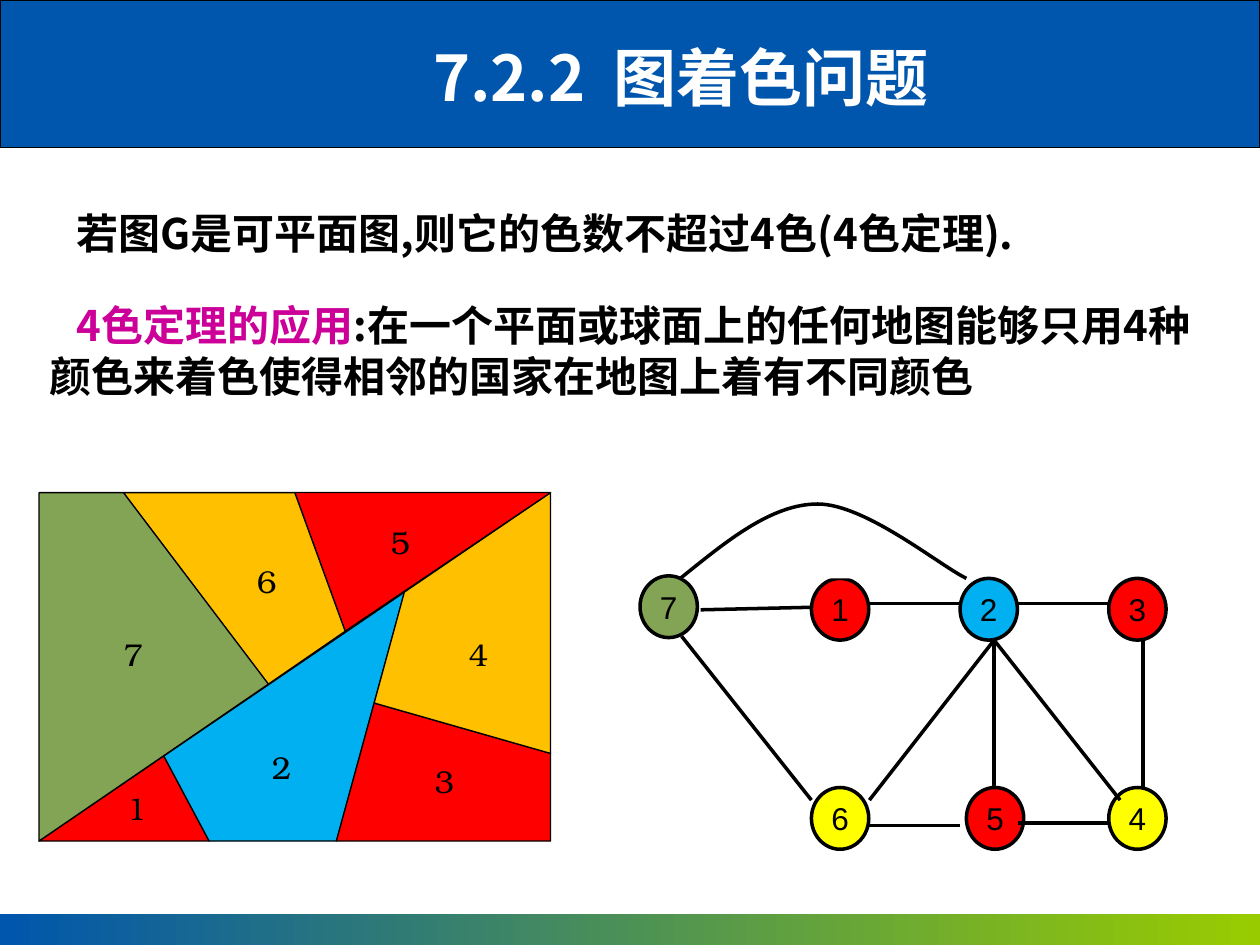
from dataclasses import dataclass

from lxml import etree
from pptx import Presentation
from pptx.dml.color import RGBColor
from pptx.enum.shapes import MSO_CONNECTOR, MSO_SHAPE
from pptx.enum.text import MSO_ANCHOR, MSO_AUTO_SIZE, PP_ALIGN
from pptx.oxml.ns import qn
from pptx.util import Inches, Pt

RECT, OVAL = MSO_SHAPE.RECTANGLE, MSO_SHAPE.OVAL
STRAIGHT = MSO_CONNECTOR.STRAIGHT
CENTER, MIDDLE = PP_ALIGN.CENTER, MSO_ANCHOR.MIDDLE
NO_FIT, GROW = MSO_AUTO_SIZE.NONE, MSO_AUTO_SIZE.SHAPE_TO_FIT_TEXT
COLS, ROWS = 100, 75


@dataclass(frozen=True)
class Theme:
    blue: str = "0056AC"
    lime: str = "99CC00"
    black: str = "000000"
    white: str = "FFFFFF"
    magenta: str = "CC0099"
    red: str = "FF0000"
    sky: str = "00B0F0"
    amber: str = "FFC000"
    yellow: str = "FFFF00"
    green: str = "83A355"
    cjk: str = "Noto Sans CJK SC"
    serif: str = "TeX Gyre Bonum"
    sans: str = "Arial"
    title: int = 36
    body: int = 24
    label: int = 18
    leading: int = 29
    thin: float = 0.75
    thick: float = 2


def add_text(p, text, size, font, color, bold=False, spacing=0):
    r = p.add_run()
    r.text = text
    r.font.size, r.font.name, r.font.bold = Pt(size), font, bold
    r.font.color.rgb = RGBColor.from_string(color)
    rPr = r.font._element
    etree.SubElement(rPr, qn("a:ea")).set("typeface", font)
    if spacing:
        rPr.set("spc", str(spacing * 100))


class Deck:
    def __init__(self, prs, theme):
        self.theme = theme
        self.cell_w = prs.slide_width / COLS
        self.cell_h = prs.slide_height / ROWS
        self.slide = prs.slides.add_slide(prs.slide_layouts[1])
        self.shapes = self.slide.shapes

    def group(self):
        self.shapes = self.slide.shapes.add_group_shape().shapes

    def point(self, x, y):
        return round(x * self.cell_w), round(y * self.cell_h)

    def box(self, x, y, w, h):
        return *self.point(x, y), *self.point(w, h)

    def paint(self, sp, fill, width):
        sp.shadow.inherit = False
        sp.fill.solid()
        sp.fill.fore_color.rgb = RGBColor.from_string(fill)
        self.stroke(sp, width)

    def stroke(self, sp, width):
        sp.line.color.rgb = RGBColor.from_string(self.theme.black)
        sp.line.width = Pt(width)

    def send_back(self, sp):
        self.slide.shapes._spTree.insert(2, sp._element)

    def header(self, *box):
        sp = self.shapes.add_shape(RECT, *self.box(*box))
        self.paint(sp, self.theme.blue, self.theme.thin)
        self.send_back(sp)

    def footer(self, *box):
        sp = self.shapes.add_shape(RECT, *self.box(*box))
        sp.shadow.inherit = False
        sp.fill.gradient()
        sp.fill.gradient_angle = 0
        for stop, color in zip(sp.fill.gradient_stops, (self.theme.blue, self.theme.lime)):
            stop.color.rgb = RGBColor.from_string(color)
        sp.line.fill.background()
        self.send_back(sp)

    def place(self, sp, box):
        sp.left, sp.top, sp.width, sp.height = self.box(*box)
        tf = sp.text_frame
        tf.word_wrap, tf.auto_size = True, NO_FIT
        return tf

    def title(self, box, number, name):
        t = self.theme
        tf = self.place(self.slide.shapes.title, box)
        tf.vertical_anchor = MIDDLE
        p = tf.paragraphs[0]
        p.alignment = CENTER
        for text, spacing in ((number, 0), (" ", 8), (name, 0)):
            add_text(p, text, t.title, t.cjk, t.white, bold=True, spacing=spacing)

    def body(self, box, paragraphs, gap, indent):
        t = self.theme
        tf = self.place(self.slide.placeholders[1], box)
        for i, runs in enumerate(paragraphs):
            p = tf.add_paragraph() if i else tf.paragraphs[0]
            p.line_spacing = Pt(t.leading)
            p.space_before = Pt(gap if i else 0)
            pPr = p._p.get_or_add_pPr()
            pPr.set("marL", "0")
            pPr.set("indent", str(Inches(indent)))
            etree.SubElement(pPr, qn("a:buNone"))
            for text, color in runs:
                add_text(p, text, t.body, t.cjk, color, bold=True)

    def outline(self, points, fill, width, close=True):
        start, *rest = [self.point(*xy) for xy in points]
        builder = self.shapes.build_freeform(*start, scale=1.0)
        builder.add_line_segments(rest, close=close)
        sp = builder.convert_to_shape()
        self.paint(sp, fill, width)
        return sp

    def curve(self, points):
        sp = self.outline(points, self.theme.white, self.theme.thick, close=False)
        segments = list(sp._element.iter(qn("a:lnTo")))
        for i in range(0, len(segments), 3):
            bezier = etree.Element(qn("a:cubicBezTo"))
            segments[i].addprevious(bezier)
            for segment in segments[i:i + 3]:
                bezier.append(segment[0])
                segment.getparent().remove(segment)

    def label(self, x, y, text):
        t = self.theme
        sp = self.shapes.add_textbox(*self.box(x, y, 4.5, 5))
        tf = sp.text_frame
        tf.word_wrap, tf.auto_size = False, GROW
        add_text(tf.paragraphs[0], text, t.label, t.serif, t.black)

    def node(self, x, y, text, fill):
        t = self.theme
        sp = self.shapes.add_shape(OVAL, *self.box(x, y, 4.55, 4.9))
        self.paint(sp, fill, t.thick)
        tf = sp.text_frame
        tf.word_wrap, tf.vertical_anchor = False, MIDDLE
        p = tf.paragraphs[0]
        p.alignment = CENTER
        add_text(p, text, t.label, t.sans, t.black)

    def edge(self, start, end):
        sp = self.shapes.add_connector(STRAIGHT, *self.point(*start), *self.point(*end))
        self.stroke(sp, self.theme.thick)
        etree.SubElement(sp._element.spPr, qn("a:effectLst"))


def main():
    prs = Presentation()
    prs.slide_width, prs.slide_height = Inches(10), Inches(7.5)
    t = Theme()
    deck = Deck(prs, t)
    deck.header(0, 0, COLS, 11.7)
    deck.footer(0, 72.5, COLS, 2.5)
    deck.title((20.7, 2.5, 66.7, 7.1), "7.2.2", "图着色问题")
    deck.body((2.9, 15.9, 94.1, 16.5), [
        [("若图G是可平面图,则它的色数不超过4色(4色定理).", t.black)],
        [("4色定理的应用", t.magenta),
         (":在一个平面或球面上的任何地图能够只用4种颜色来着色使得相邻的国家在地图上着有不同颜色", t.black)],
    ], gap=24, indent=0.22)

    left, right, top, bottom = 3.1, 43.7, 39.1, 66.75
    nw, ne, sw, se = (left, top), (right, top), (left, bottom), (right, bottom)
    top_a, top_b = (9.8, top), (23.4, top)
    low_a, low_b = (16.6, bottom), (26.7, bottom)
    east, fork = (right, 59.8), (29.7, 55.8)
    diag_a, diag_b, diag_c, diag_d = (13, 60), (21.3, 54.3), (27.4, 50.1), (32.1, 47)
    regions = [
        ("1", t.red, (9.1, 62.1), (sw, low_a, diag_a)),
        ("2", t.sky, (20.6, 58.9), (low_a, low_b, diag_d, diag_a)),
        ("3", t.red, (33.5, 60), (low_b, se, east, fork)),
        ("4", t.amber, (36.2, 49.9), (east, ne, diag_d, fork)),
        ("5", t.red, (30, 41), (ne, top_b, diag_c)),
        ("6", t.amber, (19.4, 44.1), (top_b, top_a, diag_b, diag_c)),
        ("7", t.green, (8.8, 49.9), (nw, sw, diag_b, top_a)),
    ]
    deck.group()
    for _, fill, _, corners in regions:
        deck.outline(corners, fill, t.thin)
    for text, _, (x, y), _ in regions:
        deck.label(x, y, text)

    upper, lower = 45.9, 62.5
    deck.group()
    for text, x, y, fill in (
        ("1", 64.4, upper, t.red), ("2", 76.2, upper, t.sky), ("3", 88, upper, t.red),
        ("4", 88, lower, t.yellow), ("5", 76.7, lower, t.red), ("6", 64.4, lower, t.yellow),
        ("7", 50.8, 45.7, t.green),
    ):
        deck.node(x, y, text, fill)
    hub = (78.9, 50.8)
    for start, end in (
        ((90.7, 50.8), (90.7, lower)), ((69, 47.9), (76.2, 47.9)), ((80.7, 47.9), (88, 47.9)),
        ((69, 63.5), hub), (hub, (88.9, 63.5)), (hub, (78.9, lower)),
        ((55.6, 48.4), (64.4, 48.2)), ((69, 65.5), (76.2, 65.5)),
        ((80.8, 65.3), (88, 65.3)), ((54.1, 50.5), (64.4, 63.5)),
    ):
        deck.edge(start, end)
    deck.curve([(54, 45.9), (57.6, 43), (61.2, 40), (64.9, 40),
                (68.7, 40), (74.6, 44.9), (76.7, 45.9)])
    prs.save("out.pptx")


if __name__ == "__main__":
    main()
